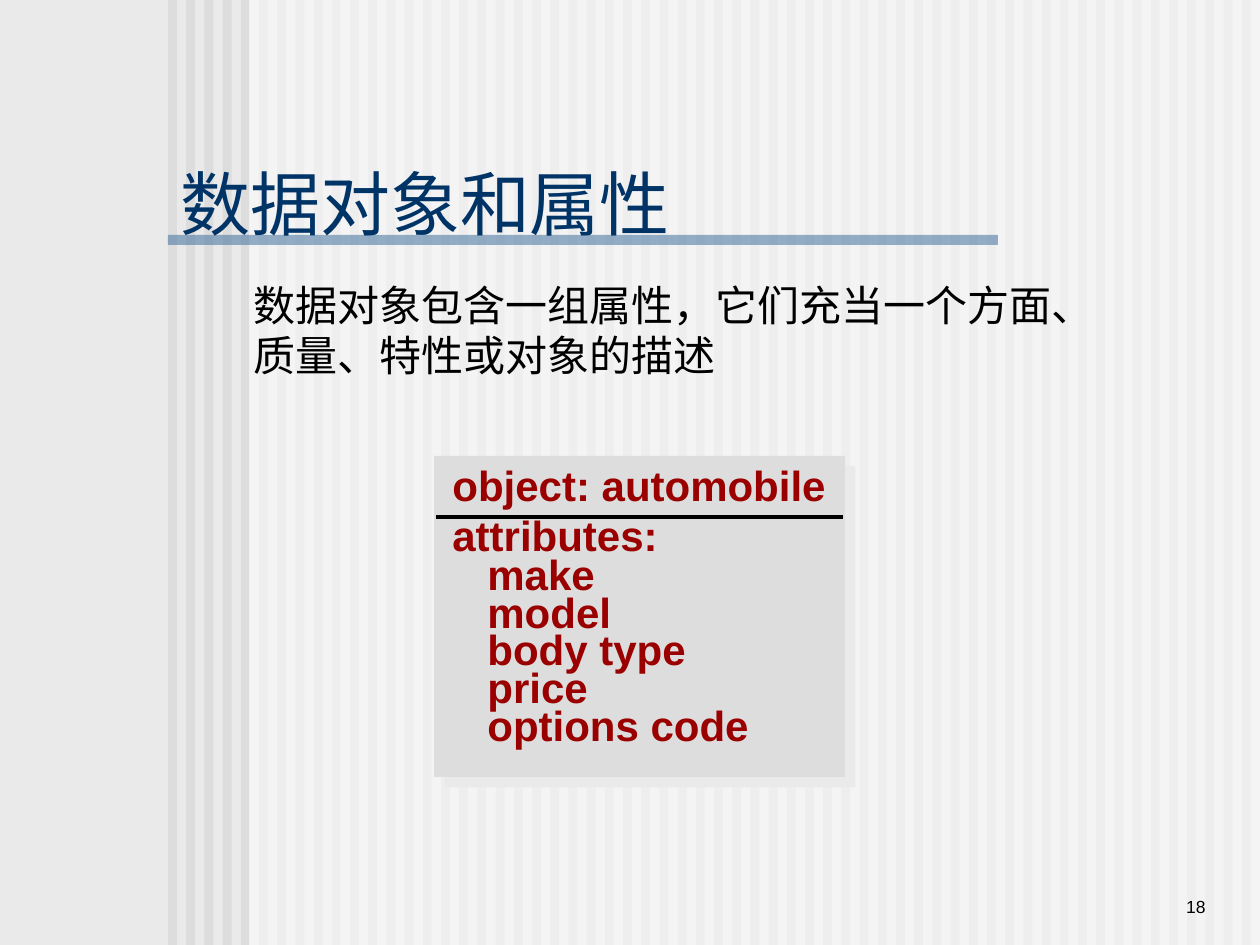
from lxml import etree
from pptx import Presentation
from pptx.dml.color import RGBColor
from pptx.enum.shapes import MSO_CONNECTOR as Connector, MSO_SHAPE as Shape
from pptx.enum.text import MSO_ANCHOR as Anchor, PP_ALIGN as Align
from pptx.oxml import parse_xml
from pptx.oxml.ns import nsdecls, qn
from pptx.util import Pt

TITLE = "数据对象和属性"
BODY = "数据对象包含一组属性，它们充当一个方面、质量、特性或对象的描述"
HEADINGS = ["object: automobile", "attributes:"]
ATTRIBUTES = ["make", "model", "body type", "price", "options code"]
PAGE_NUMBER = "18"

# Lengths in px, 126 to the inch
WIDTH, HEIGHT = 1260, 945
STRIPES, STRIPE_LEFT, STRIPE_WIDTH, STRIPE_PITCH = 60, 168, 9, 18.2
VEIL = (249, 0, 1011, HEIGHT)
TITLE_RULE = (168, 235, 830, 10)
TITLE_BOX = (168, 157, 892, 91)
BODY_BOX = (241, 273, 873, 113)
PANEL = (434, 456, 411, 321)
OBJECT_BOX = (440, 453, 420, 302)
DIVIDER = (436, 517, 843, 517)
NUMBER_BOX = (1039, 860, 179, 63)
ATTRIBUTE_INDENT = 35
SHADOW_DISTANCE = 8.5  # points
LIGHT, GREY = "EAEAEA", "DDDDDD"


def px(length):
    return round(length * 914400 / 126)


def colour(value):
    return RGBColor.from_string(value)


def add_rect(page, area, fill, alpha=None):
    rect = page.shapes.add_shape(Shape.RECTANGLE, *map(px, area))
    rect.shadow.inherit = False
    rect.fill.solid()
    rect.fill.fore_color.rgb = colour(fill)
    rect.line.fill.background()
    if alpha is not None:
        tint = rect._element.spPr.find(".//" + qn("a:srgbClr"))
        etree.SubElement(tint, qn("a:alpha")).set("val", str(alpha * 1000))
    return rect


def add_text(page, area, lines, size, ink, font="Arial", bold=False,
             align=Align.LEFT, anchor=Anchor.TOP):
    box = page.shapes.add_textbox(*map(px, area))
    frame = box.text_frame
    frame.word_wrap = True
    frame.vertical_anchor = anchor
    frame.text = "\n".join(lines)
    for para in frame.paragraphs:
        para.alignment = align
        for span in para.runs:
            span.font.name = font
            span.font.size = Pt(size)
            span.font.bold = bold
            span.font.color.rgb = colour(ink)
    return frame


def add_background(page):
    page.background.fill.solid()
    page.background.fill.fore_color.rgb = colour(LIGHT)
    for index in range(STRIPES):
        left = STRIPE_LEFT + index * STRIPE_PITCH
        add_rect(page, (left, 0, STRIPE_WIDTH, HEIGHT), GREY)
    add_rect(page, VEIL, "FFFFFF", alpha=50)
    add_rect(page, TITLE_RULE, "336699", alpha=50)


def add_object_card(page):
    panel = add_rect(page, PANEL, GREY)
    effects = panel._element.spPr.find(qn("a:effectLst"))
    effects.append(parse_xml(
        f'<a:outerShdw {nsdecls("a")} dist="{Pt(SHADOW_DISTANCE)}" dir="2700000" '
        f'algn="ctr" rotWithShape="0"><a:srgbClr val="{LIGHT}"/></a:outerShdw>'))

    frame = add_text(page, OBJECT_BOX, HEADINGS + ATTRIBUTES, 24, "9A0000",
                     bold=True)
    for para in frame.paragraphs[len(HEADINGS):]:
        para.line_spacing = 0.75
        para._p.get_or_add_pPr().set("marL", str(px(ATTRIBUTE_INDENT)))

    divider = page.shapes.add_connector(Connector.STRAIGHT, *map(px, DIVIDER))
    divider.line.color.rgb = colour("000000")
    divider.line.width = Pt(2)
    etree.SubElement(divider._element.spPr, qn("a:effectLst"))


def main():
    deck = Presentation()
    deck.slide_width, deck.slide_height = px(WIDTH), px(HEIGHT)
    page = deck.slides.add_slide(deck.slide_layouts[6])
    add_background(page)
    add_text(page, NUMBER_BOX, [PAGE_NUMBER], 10, "000000",
             align=Align.RIGHT, anchor=Anchor.BOTTOM)
    add_text(page, TITLE_BOX, [TITLE], 40, "003366", anchor=Anchor.MIDDLE)
    add_text(page, BODY_BOX, [BODY], 24, "000000", font="Vollkorn")
    add_object_card(page)
    deck.save("out.pptx")


if __name__ == "__main__":
    main()
